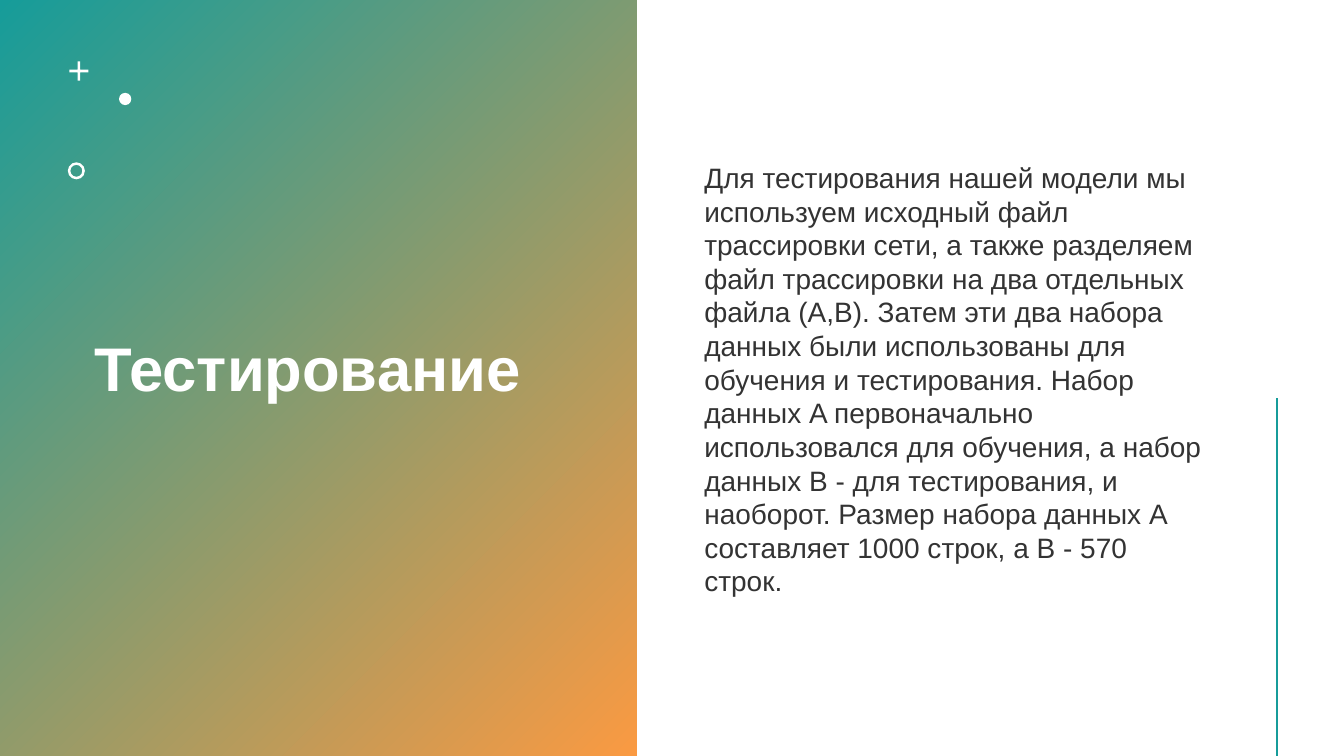
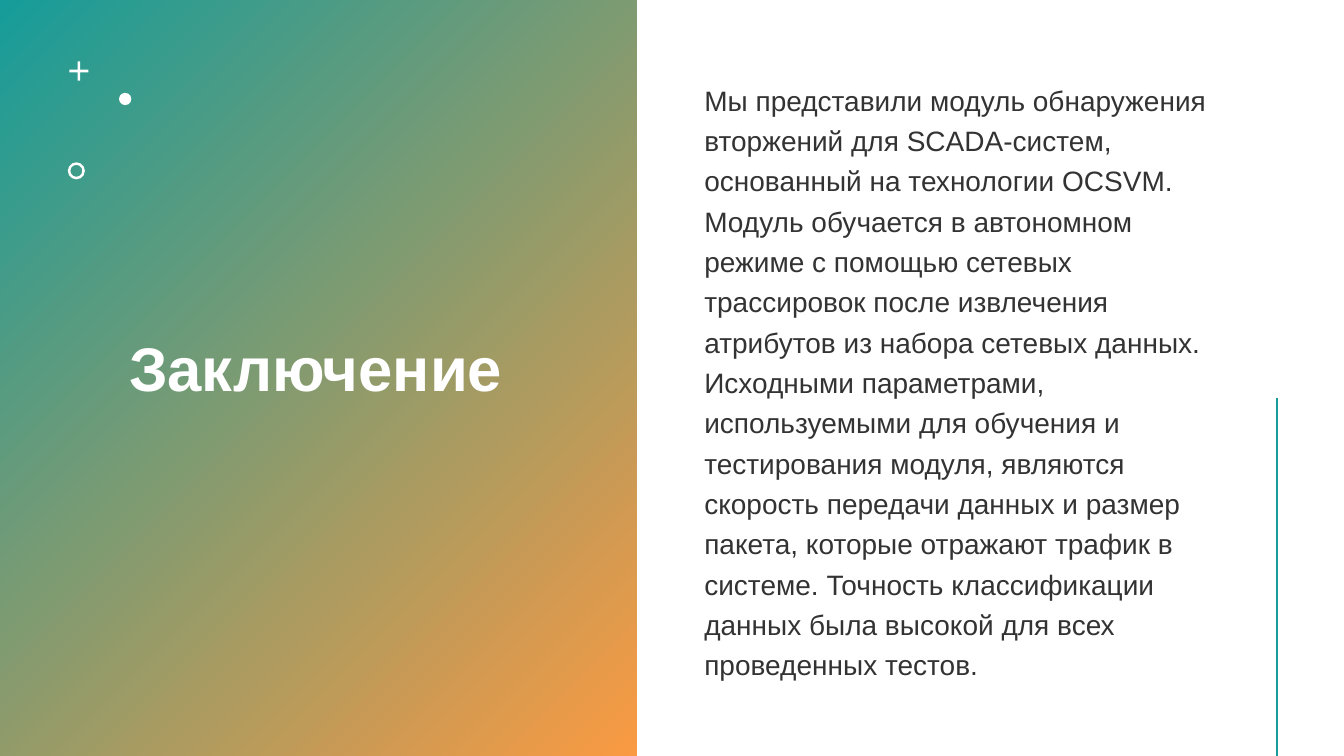
from dataclasses import dataclass

from lxml.etree import SubElement
from pptx import Presentation
from pptx.dml.color import RGBColor
from pptx.enum.shapes import MSO_CONNECTOR as Connector, MSO_SHAPE as Preset
from pptx.enum.text import MSO_ANCHOR as Anchor, MSO_AUTO_SIZE as AutoSize, PP_ALIGN as Align
from pptx.oxml.ns import qn
from pptx.util import Cm, Pt

COLORS = {"teal": "169C9A", "orange": "FA9A42", "white": "FFFFFF", "text": "333333"}
FONT = "Arial"
SLIDE_WIDTH, SLIDE_HEIGHT = 33.87, 19.05
PANEL_WIDTH = 16.05
TITLE_RIGHT = 14.44
TITLE_ONLY = 5


@dataclass(frozen=True)
class Mark:
    """Small square ornament on the panel, lengths in centimetres."""
    preset: Preset
    left: float
    top: float
    size: float
    adjustment: float | None = None


@dataclass(frozen=True)
class Topic:
    title: str
    title_left: float
    body: str
    line_spacing: float


MARKS = (
    Mark(Preset.CROSS, 1.75, 1.55, 0.48, 0.43),
    Mark(Preset.OVAL, 3.0, 2.34, 0.31),
    Mark(Preset.DONUT, 1.71, 4.09, 0.43, 0.15),
)

TOPICS = (
    Topic(
        "Тестирование", 2.13,
        "Для тестирования нашей модели мы используем исходный файл трассировки сети, "
        "а также разделяем файл трассировки на два отдельных файла (A,B). "
        "Затем эти два набора данных были использованы для обучения и тестирования. "
        "Набор данных A первоначально использовался для обучения, "
        "а набор данных B - для тестирования, и наоборот. "
        "Размер набора данных A составляет 1000 строк, а B - 570 строк.",
        1.0,
    ),
    Topic(
        "Заключение", 3.0,
        "Мы представили модуль обнаружения вторжений для SCADA-систем, "
        "основанный на технологии OCSVM. Модуль обучается в автономном режиме "
        "с помощью сетевых трассировок после извлечения атрибутов из набора сетевых данных. "
        "Исходными параметрами, используемыми для обучения и тестирования модуля, "
        "являются скорость передачи данных и размер пакета, которые отражают трафик "
        "в системе. Точность классификации данных была высокой для всех проведенных тестов.",
        1.2,
    ),
)


def rgb(name: str) -> RGBColor:
    return RGBColor.from_string(COLORS[name])


def place(shape, left: float, top: float, width: float, height: float) -> None:
    shape.left, shape.top = Cm(left), Cm(top)
    shape.width, shape.height = Cm(width), Cm(height)


def write_text(shape, text: str, *, size: float, color: str, bold: bool = False,
               line_spacing: float = 1.0, space_before: float = 0) -> None:
    frame = shape.text_frame
    frame.word_wrap = True
    frame.auto_size = AutoSize.NONE
    frame.vertical_anchor = Anchor.MIDDLE
    paragraph = frame.paragraphs[0]
    paragraph.alignment = Align.LEFT
    paragraph.line_spacing = line_spacing
    paragraph.space_before = Pt(space_before)
    run = paragraph.add_run()
    run.text = text
    run.font.name, run.font.size, run.font.bold = FONT, Pt(size), bold
    run.font.color.rgb = rgb(color)


def add_panel(slide) -> None:
    panel = slide.shapes.add_shape(Preset.RECTANGLE, 0, 0, Cm(PANEL_WIDTH), Cm(SLIDE_HEIGHT))
    panel.shadow.inherit = False
    panel.line.fill.background()
    panel.fill.gradient()
    panel.fill.gradient_angle = 315
    for stop, color, position in zip(panel.fill.gradient_stops, ("teal", "orange"), (0, 1)):
        stop.color.rgb = rgb(color)
        stop.position = position


def add_mark(slide, mark: Mark) -> None:
    shape = slide.shapes.add_shape(
        mark.preset, Cm(mark.left), Cm(mark.top), Cm(mark.size), Cm(mark.size))
    if mark.adjustment is not None:
        shape.adjustments[0] = mark.adjustment
    shape.shadow.inherit = False
    shape.fill.solid()
    shape.fill.fore_color.rgb = rgb("white")
    shape.line.fill.background()


def add_accent_line(slide) -> None:
    line = slide.shapes.add_connector(
        Connector.STRAIGHT, Cm(32.18), Cm(10.03), Cm(32.18), Cm(SLIDE_HEIGHT))
    line.line.color.rgb = rgb("teal")
    line.line.width = Pt(2)
    SubElement(line.element.spPr, qn("a:effectLst"))


def add_topic_slide(presentation, topic: Topic) -> None:
    slide = presentation.slides.add_slide(presentation.slide_layouts[TITLE_ONLY])
    add_panel(slide)

    # Title, brought in front of the panel
    title = slide.shapes.title
    title.element.getparent().append(title.element)
    place(title, topic.title_left, 1.07, TITLE_RIGHT - topic.title_left, 16.59)
    write_text(title, topic.title, size=44, color="white", bold=True, line_spacing=0.9)

    # Ornaments
    for mark in MARKS:
        add_mark(slide, mark)

    # Body text and accent line
    body = slide.shapes.add_textbox(Cm(17.5), Cm(1.45), Cm(13.26), Cm(16.2))
    write_text(body, topic.body, size=20, color="text",
               line_spacing=topic.line_spacing, space_before=10)
    add_accent_line(slide)


def main() -> None:
    presentation = Presentation()
    presentation.slide_width, presentation.slide_height = Cm(SLIDE_WIDTH), Cm(SLIDE_HEIGHT)
    for topic in TOPICS:
        add_topic_slide(presentation, topic)
    presentation.save("out.pptx")


if __name__ == "__main__":
    main()
